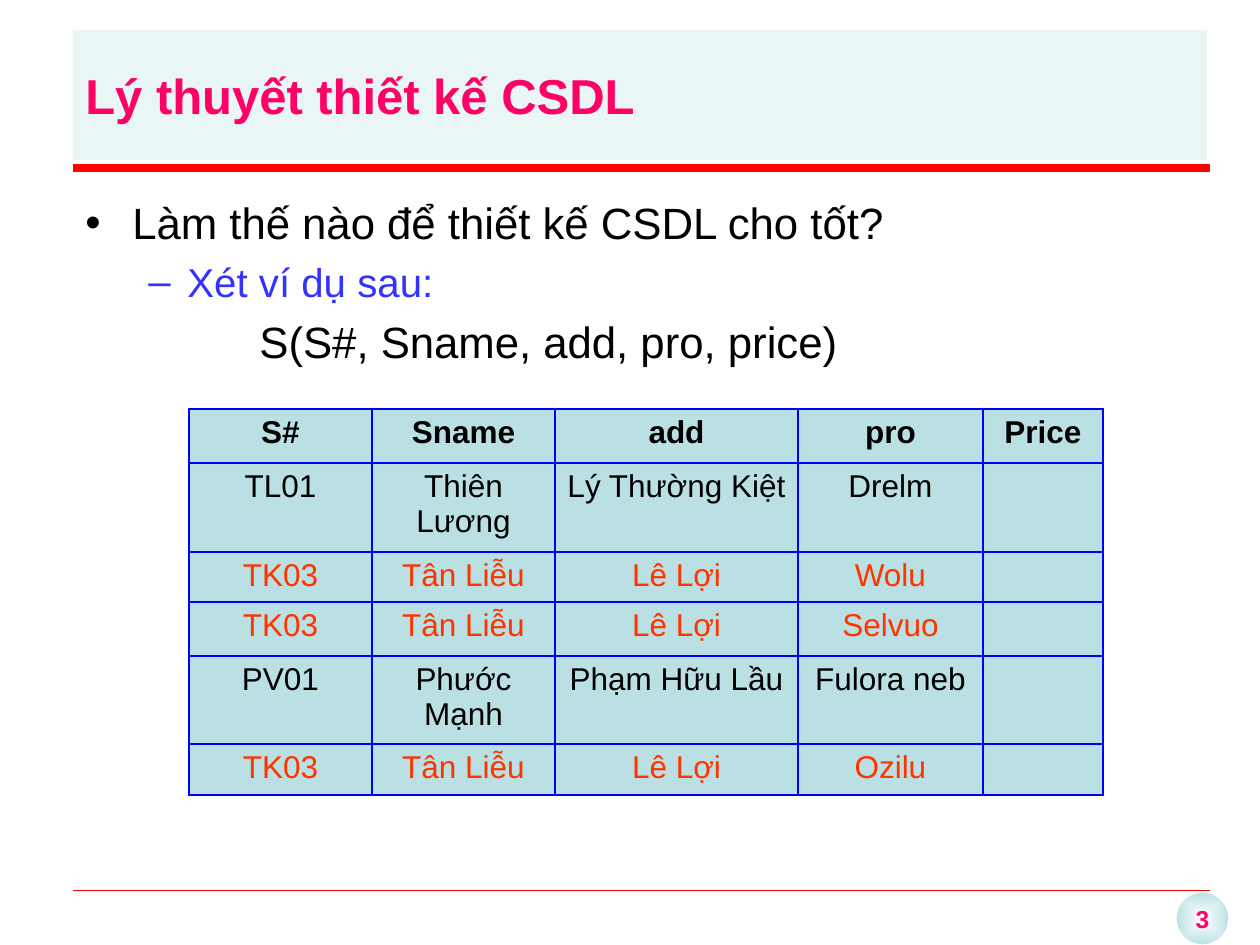
from lxml import etree
from pptx import Presentation
from pptx.dml.color import RGBColor
from pptx.enum.shapes import MSO_CONNECTOR, MSO_SHAPE
from pptx.enum.text import MSO_ANCHOR, PP_ALIGN
from pptx.oxml import parse_xml
from pptx.oxml.ns import nsdecls, qn
from pptx.util import Emu, Pt

FONT = "Arial"
COLORS = {
    "pink": "FF0066",
    "red": "FF0000",
    "orange": "FF3300",
    "blue": "3333FF",
    "border": "0000FF",
    "teal": "BBE0E3",
    "black": "000000",
    "white": "FFFFFF",
}

TITLE = "Lý thuyết thiết kế CSDL"
PAGE_NUMBER = "3"
BODY = [
    {"text": "Làm thế nào để thiết kế CSDL cho tốt?", "size": 25, "color": "black",
     "level": 0, "margin": 47, "indent": -47, "bullet": "•"},
    {"text": "Xét ví dụ sau:", "size": 23, "color": "blue",
     "level": 1, "margin": 102, "indent": -39, "bullet": "–"},
    {"text": "S(S#, Sname, add, pro, price)", "size": 25, "color": "black",
     "level": 0, "margin": 174, "indent": 0, "bullet": None},
]
HEADER = ["S#", "Sname", "add", "pro", "Price"]
SUPPLIES = [
    ["TL01", "Thiên Lương", "Lý Thường Kiệt", "Drelm", ""],
    ["TK03", "Tân Liễu", "Lê Lợi", "Wolu", ""],
    ["TK03", "Tân Liễu", "Lê Lợi", "Selvuo", ""],
    ["PV01", "Phước Mạnh", "Phạm Hữu Lầu", "Fulora neb", ""],
    ["TK03", "Tân Liễu", "Lê Lợi", "Ozilu", ""],
]
REPEATED_CODE = "TK03"
COLUMN_WIDTHS = [183, 183, 243, 185, 120]
ROW_HEIGHTS = [54, 89, 50, 54, 88, 51]
RULES = [(890, 0.25), (168, 4.5)]


def px(value):
    return Emu(round(value * 914400 / 126))


def rgb(name):
    return RGBColor.from_string(COLORS[name])


def set_font(paragraph, size, color, bold=False):
    font = paragraph.font
    font.name, font.size, font.bold = FONT, Pt(size), bold
    font.color.rgb = rgb(color)


def add_box(slide, preset, left, top, width, height, fill):
    shape = slide.shapes.add_shape(preset, px(left), px(top), px(width), px(height))
    shape.shadow.inherit = False
    shape.fill.solid()
    shape.fill.fore_color.rgb = rgb(fill)
    shape.line.fill.background()
    return shape


def add_page_number(slide):
    badge = add_box(slide, MSO_SHAPE.OVAL, 1176, 892, 53, 53, "white")
    properties = badge.element.spPr
    gradient = parse_xml(
        f'<a:gradFill {nsdecls("a")} rotWithShape="1"><a:gsLst>'
        f'<a:gs pos="0"><a:srgbClr val="{COLORS["white"]}"/></a:gs>'
        f'<a:gs pos="100000"><a:srgbClr val="{COLORS["teal"]}"/></a:gs></a:gsLst>'
        '<a:path path="shape"><a:fillToRect l="50000" t="50000" r="50000" b="50000"/></a:path>'
        '</a:gradFill>')
    properties.replace(properties.find(qn("a:solidFill")), gradient)
    badge.line.color.rgb = rgb("white")
    badge.line.width = Pt(0.75)
    frame = badge.text_frame
    frame.word_wrap = False
    frame.vertical_anchor = MSO_ANCHOR.MIDDLE
    paragraph = frame.paragraphs[0]
    paragraph.text = PAGE_NUMBER
    paragraph.alignment = PP_ALIGN.CENTER
    set_font(paragraph, 14, "pink", True)


def add_rule(slide, y, width):
    line = slide.shapes.add_connector(MSO_CONNECTOR.STRAIGHT, px(73), px(y), px(1210), px(y))
    line.line.color.rgb = rgb("red")
    line.line.width = Pt(width)
    etree.SubElement(line.element.spPr, qn("a:effectLst"))


def add_title(slide):
    title = add_box(slide, MSO_SHAPE.RECTANGLE, 73, 30, 1134, 130, "teal")
    color = title.element.spPr.find(qn("a:solidFill")).find(qn("a:srgbClr"))
    etree.SubElement(color, qn("a:alpha")).set("val", "30000")
    frame = title.text_frame
    frame.word_wrap = True
    frame.vertical_anchor = MSO_ANCHOR.MIDDLE
    paragraph = frame.paragraphs[0]
    paragraph.text = TITLE
    paragraph.alignment = PP_ALIGN.LEFT
    set_font(paragraph, 28, "pink", True)


def add_body(slide):
    body = add_box(slide, MSO_SHAPE.RECTANGLE, 73, 190, 1134, 683, "white")
    frame = body.text_frame
    frame.word_wrap = True
    frame.vertical_anchor = MSO_ANCHOR.TOP
    for index, item in enumerate(BODY):
        paragraph = frame.add_paragraph() if index else frame.paragraphs[0]
        paragraph.text = item["text"]
        paragraph.level = item["level"]
        paragraph.alignment = PP_ALIGN.JUSTIFY
        paragraph.space_before = Pt(5)
        set_font(paragraph, item["size"], item["color"])
        properties = paragraph._p.get_or_add_pPr()
        properties.set("marL", str(px(item["margin"])))
        properties.set("indent", str(px(item["indent"])))
        if item["bullet"]:
            run_defaults = properties.find(qn("a:defRPr"))
            for bullet in (f'buFont {nsdecls("a")} typeface="{FONT}"',
                           f'buChar {nsdecls("a")} char="{item["bullet"]}"'):
                run_defaults.addprevious(parse_xml(f"<a:{bullet}/>"))


def style_cell(cell, text, color, bold):
    cell.margin_left = cell.margin_right = px(12)
    cell.margin_top = cell.margin_bottom = px(6)
    paragraph = cell.text_frame.paragraphs[0]
    paragraph.text = text
    paragraph.alignment = PP_ALIGN.CENTER
    set_font(paragraph, 18, color, bold)
    properties = cell._tc.get_or_add_tcPr()
    for side in ("lnL", "lnR", "lnT", "lnB"):
        properties.append(parse_xml(
            f'<a:{side} {nsdecls("a")} w="{Pt(1)}"><a:solidFill>'
            f'<a:srgbClr val="{COLORS["border"]}"/></a:solidFill></a:{side}>'))
    cell.fill.solid()
    cell.fill.fore_color.rgb = rgb("teal")


def add_supply_table(slide):
    rows = [HEADER] + SUPPLIES
    table = slide.shapes.add_table(
        len(rows), len(HEADER), px(189), px(409),
        px(sum(COLUMN_WIDTHS)), px(sum(ROW_HEIGHTS))).table
    table.first_row = table.horz_banding = False
    for column, width in zip(table.columns, COLUMN_WIDTHS):
        column.width = px(width)
    for row, height, texts in zip(table.rows, ROW_HEIGHTS, rows):
        row.height = px(height)
        color = "orange" if texts[0] == REPEATED_CODE else "black"
        for cell, text in zip(row.cells, texts):
            style_cell(cell, text, color, texts is HEADER)


def main():
    presentation = Presentation()
    presentation.slide_width, presentation.slide_height = px(1260), px(945)
    slide = presentation.slides.add_slide(presentation.slide_layouts[6])
    add_page_number(slide)
    for y, width in RULES:
        add_rule(slide, y, width)
    add_title(slide)
    add_body(slide)
    add_supply_table(slide)
    presentation.save("out.pptx")


if __name__ == "__main__":
    main()
